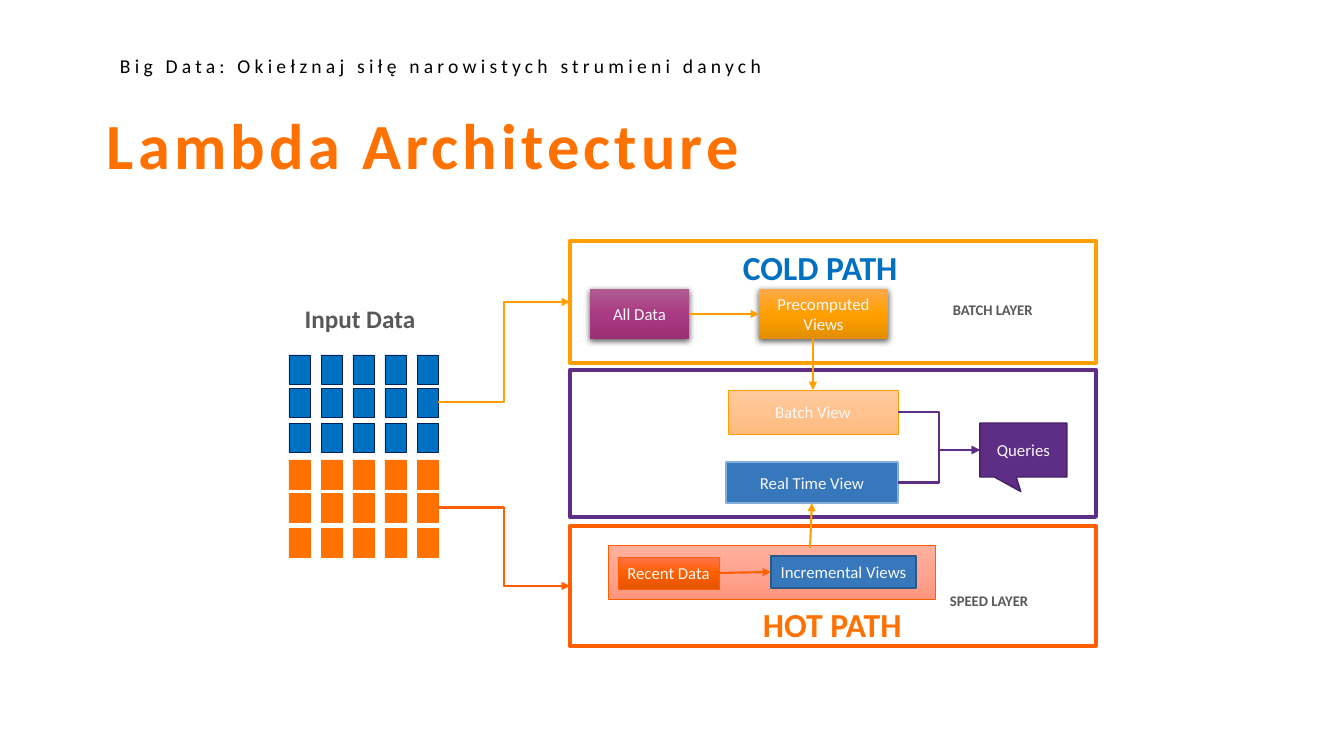
"""Build the Lambda Architecture slide with its cold and hot data paths."""
from copy import deepcopy

from lxml import etree
from pptx import Presentation
from pptx import util as u
from pptx.dml.color import RGBColor
from pptx.enum import shapes, text
from pptx.oxml import ns

PX = 914400 / 100.8
BLACK = RGBColor(0x00, 0x00, 0x00)
GREY = RGBColor(0x59, 0x59, 0x59)
PALE = RGBColor(0xF8, 0xF8, 0xF8)
ORANGE = RGBColor(0xFF, 0x71, 0x00)
AMBER = RGBColor(0xFF, 0xA0, 0x00)
RED_ORANGE = RGBColor(0xFF, 0x5F, 0x00)
PURPLE = RGBColor(0x5E, 0x2E, 0x86)
DARK_PURPLE = RGBColor(0x46, 0x22, 0x63)
BLUE = RGBColor(0x00, 0x70, 0xC0)
NAVY = RGBColor(0x00, 0x20, 0x60)
STEEL = RGBColor(0x37, 0x77, 0xBC)
LIGHT_STEEL = RGBColor(0x83, 0xAD, 0xDB)
DARK_STEEL = RGBColor(0x29, 0x58, 0x8B)
AMBER_FADE = (RGBColor(0xFF, 0xA9, 0x4B), AMBER, RGBColor(0xE3, 0x8E, 0x00))
PEACH_FADE = (RGBColor(0xFF, 0xCB, 0x9E), RGBColor(0xFF, 0xC3, 0x90), RGBColor(0xFF, 0xBA, 0x7C))
PLUM_FADE = (RGBColor(0xB0, 0x5D, 0x90), RGBColor(0xA9, 0x3B, 0x84), RGBColor(0x9B, 0x30, 0x76))
SALMON_FADE = (RGBColor(0xFF, 0xB0, 0x9E), RGBColor(0xFF, 0xA4, 0x90), RGBColor(0xFF, 0x95, 0x7C))
FIRE_FADE = (RGBColor(0xFF, 0x74, 0x4B), RED_ORANGE, RGBColor(0xE3, 0x54, 0x00))

RECT = shapes.MSO_SHAPE.RECTANGLE
CALLOUT = shapes.MSO_SHAPE.RECTANGULAR_CALLOUT
STRAIGHT = shapes.MSO_CONNECTOR.STRAIGHT
ELBOW = shapes.MSO_CONNECTOR.ELBOW
LEFT, CENTER = text.PP_ALIGN.LEFT, text.PP_ALIGN.CENTER
TOP, LEFT_SIDE, BOTTOM, RIGHT_SIDE = range(4)


def px(*lengths):
    """Turn pixel lengths into EMU."""
    return [u.Emu(round(length * PX)) for length in lengths]


def write(frame, wording, size, color, bold=False, align=LEFT, spacing=1.0,
          tracking=0, insets=(10, 5), **layout):
    """Fill a text frame with one formatted paragraph."""
    side, edge = px(*insets)
    margins = {"margin_left": side, "margin_right": side, "margin_top": edge, "margin_bottom": edge}
    for name, value in {"word_wrap": True, **margins, **layout}.items():
        setattr(frame, name, value)
    paragraph = frame.paragraphs[0]
    paragraph.alignment, paragraph.line_spacing = align, spacing
    paragraph.space_before = u.Pt(0)
    run = paragraph.add_run()
    run.text = wording
    for name, value in {"name": "Calibri", "size": u.Pt(size), "bold": bold}.items():
        setattr(run.font, name, value)
    run.font.color.rgb = color
    if tracking:
        run.font._element.set("spc", str(tracking * 100))


deck = Presentation()
deck.slide_width, deck.slide_height = px(1344, 756)
slide = deck.slides.add_slide(deck.slide_layouts[5])

heading = slide.shapes.title
heading.left, heading.top, heading.width, heading.height = px(97, 109, 1042, 80)
write(heading.text_frame, "Lambda Architecture", 46, ORANGE, bold=True, spacing=0.9, tracking=3,
      auto_size=text.MSO_AUTO_SIZE.NONE, vertical_anchor=text.MSO_ANCHOR.TOP)

parts = [
    ("cold path", RECT, (570, 241, 526, 122), None, AMBER, 3, ""),
    ("serving", RECT, (570, 370, 526, 147), None, PURPLE, 3, ""),
    ("hot path", RECT, (570, 526, 526, 120), None, RED_ORANGE, 3, ""),
    ("speed band", RECT, (608, 545, 327, 54), SALMON_FADE, RED_ORANGE, 0.5, ""),
    ("all data", RECT, (590, 289, 99, 50), PLUM_FADE, None, 0, "All Data"),
    ("precomputed", RECT, (759, 289, 129, 50), AMBER_FADE, None, 0, "Precomputed Views"),
    ("batch view", RECT, (728, 390, 170, 44), PEACH_FADE, AMBER, 0.5, "Batch View"),
    ("real time", RECT, (726, 462, 172, 41), STEEL, LIGHT_STEEL, 1.5, "Real Time View"),
    ("queries", CALLOUT, (980, 423, 87, 54), PURPLE, DARK_PURPLE, 1, "Queries"),
    ("recent", RECT, (618, 557, 101, 32), FIRE_FADE, RED_ORANGE, 0.5, "Recent Data"),
    ("incremental", RECT, (771, 556, 145, 32), STEEL, DARK_STEEL, 1, "Incremental Views"),
]
for batch, top, fill, edge in (("cold", 355, BLUE, NAVY), ("hot", 460, ORANGE, ORANGE)):
    for row, offset in enumerate((0, 33, 68)):
        for column in range(5):
            parts.append(((batch, row, column), RECT, (289 + 32 * column, top + offset, 21, 29),
                          fill, edge, 0.5, ""))

diagram = {}
for key, kind, place, fill, edge, weight, wording in parts:
    part = diagram[key] = slide.shapes.add_shape(kind, *px(*place))
    part.shadow.inherit = False
    if fill is None:
        part.fill.background()
    elif isinstance(fill, RGBColor):
        part.fill.solid()
        part.fill.fore_color.rgb = fill
    else:
        part.fill.gradient()
        part.fill.gradient_angle = 270
        stops = part._element.spPr.find(ns.qn("a:gradFill")).find(ns.qn("a:gsLst"))
        stops.insert(1, deepcopy(stops[0]))
        for stop, color, position in zip(part.fill.gradient_stops, fill, (0, 0.5, 1)):
            stop.color.rgb, stop.position = color, position
    if edge is None:
        part.line.fill.background()
        effects = part._element.spPr.find(ns.qn("a:effectLst"))
        shade = etree.SubElement(effects, ns.qn("a:outerShdw"), blurRad="57150", dist="19050",
                                 dir="5400000", algn="ctr", rotWithShape="0")
        black = etree.SubElement(shade, ns.qn("a:srgbClr"), val="000000")
        etree.SubElement(black, ns.qn("a:alpha"), val="63000")
    else:
        part.line.color.rgb, part.line.width = edge, u.Pt(weight)
    if wording:
        write(part.text_frame, wording, 12, PALE, align=CENTER, insets=(0, 4),
              vertical_anchor=text.MSO_ANCHOR.MIDDLE)
diagram["queries"].adjustments[0] = -0.03
diagram["queries"].adjustments[1] = 0.77

links = [
    (STRAIGHT, ("all data", RIGHT_SIDE), ("precomputed", LEFT_SIDE), AMBER),
    (STRAIGHT, (813, 339), ("batch view", TOP), AMBER),
    (STRAIGHT, (810, 548), ("real time", BOTTOM), AMBER),
    (STRAIGHT, ("recent", RIGHT_SIDE), ("incremental", LEFT_SIDE), RED_ORANGE),
    (ELBOW, (("cold", 1, 4), RIGHT_SIDE), ("cold path", LEFT_SIDE), AMBER),
    (ELBOW, (("hot", 1, 4), RIGHT_SIDE), ("hot path", LEFT_SIDE), RED_ORANGE),
    (ELBOW, ("batch view", RIGHT_SIDE), ("queries", LEFT_SIDE), PURPLE),
    (ELBOW, ("real time", RIGHT_SIDE), ("queries", LEFT_SIDE), PURPLE),
]
for kind, start, (target, target_side), color in links:
    joined = start[0] in diagram
    link = slide.shapes.add_connector(kind, *px(*((0, 0) if joined else start), 0, 0))
    if joined:
        link.begin_connect(diagram[start[0]], start[1])
    link.end_connect(diagram[target], target_side)
    link.line.color.rgb, link.line.width = color, u.Pt(1.5)
    etree.SubElement(link.line._get_or_add_ln(), ns.qn("a:tailEnd"), type="triangle")
    etree.SubElement(link._element.spPr, ns.qn("a:effectLst"))

tight = {"bold": True, "spacing": 0.9, "word_wrap": False}
layer = {**tight, "insets": (15, 12)}
labels = [
    ("Big Data: Okiełznaj siłę narowistych strumieni danych", (110, 49, 809, 34), 14, BLACK,
     {"tracking": 3}),
    ("Input Data", (293, 302, 134, 37), 18, GREY, {**tight, "word_wrap": True, "align": CENTER}),
    ("COLD PATH", (733, 246, 176, 46), 24, BLUE, tight),
    ("HOT PATH", (753, 603, 160, 46), 24, ORANGE, tight),
    ("BATCH LAYER", (938, 295, 115, 40), 10.5, GREY, layer),
    ("SPEED LAYER", (935, 586, 112, 40), 10.5, GREY, layer),
]
for wording, place, size, color, layout in labels:
    label = slide.shapes.add_textbox(*px(*place))
    write(label.text_frame, wording, size, color, **layout)

deck.save("out.pptx")
